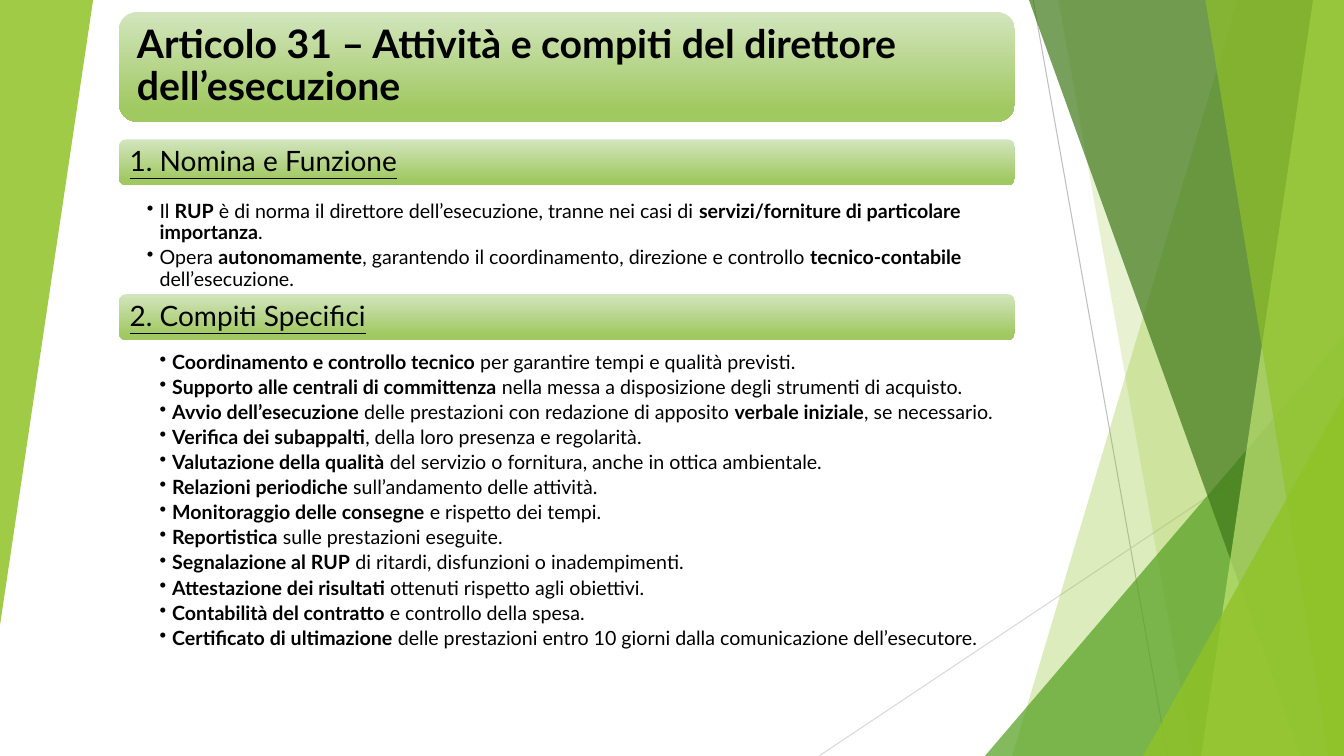
from lxml import etree
from pptx import Presentation
from pptx.dml.color import RGBColor
from pptx.enum.shapes import MSO_CONNECTOR, MSO_SHAPE
from pptx.enum.text import MSO_ANCHOR, PP_ALIGN
from pptx.oxml.ns import qn
from pptx.util import Pt

LINE = MSO_CONNECTOR.STRAIGHT
TRIANGLE = MSO_SHAPE.ISOSCELES_TRIANGLE
ROUND = MSO_SHAPE.ROUNDED_RECTANGLE
TOP, MIDDLE = MSO_ANCHOR.TOP, MSO_ANCHOR.MIDDLE
LEFT = PP_ALIGN.LEFT

WIDE, HIGH = 960, 540
FONT = "Lato"
COLORS = {
    "text": "000000", "lime": "90C226", "green": "54A021",
    "dark": "3F7819", "pale": "C0E474", "gray": "BFBFBF",
    "mist": "D9D9D9", "light": "D3E5BE", "deep": "A0C962",
}
BAR_X, BAR_W = 85, 640

ROLE = [
    "Il *RUP* è di norma il direttore dell’esecuzione, tranne nei casi di "
    "*servizi/forniture di particolare importanza*.",
    "Opera *autonomamente*, garantendo il coordinamento, direzione e "
    "controllo *tecnico-contabile* dell’esecuzione.",
]
TASKS = [
    "*Coordinamento e controllo tecnico* per garantire tempi e qualità previsti.",
    "*Supporto alle centrali di committenza* nella messa a disposizione degli strumenti di acquisto.",
    "*Avvio dell’esecuzione* delle prestazioni con redazione di apposito *verbale iniziale*, se necessario.",
    "*Verifica dei subappalti*, della loro presenza e regolarità.",
    "*Valutazione della qualità* del servizio o fornitura, anche in ottica ambientale.",
    "*Relazioni periodiche* sull’andamento delle attività.",
    "*Monitoraggio delle consegne* e rispetto dei tempi.",
    "*Reportistica* sulle prestazioni eseguite.",
    "*Segnalazione al RUP* di ritardi, disfunzioni o inadempimenti.",
    "*Attestazione dei risultati* ottenuti rispetto agli obiettivi.",
    "*Contabilità del contratto* e controllo della spesa.",
    "*Certificato di ultimazione* delle prestazioni entro 10 giorni dalla comunicazione dell’esecutore.",
]


class Page:
    def __init__(self, slide):
        self.shapes = slide.shapes

    def color(self, name):
        return RGBColor.from_string(COLORS[name])

    def line(self, x1, y1, x2, y2, color):
        line = self.shapes.add_connector(LINE, Pt(x1), Pt(y1), Pt(x2), Pt(y2))
        line.line.color.rgb = self.color(color)
        line.line.width = Pt(0.75)
        etree.SubElement(line._element.spPr, qn("a:effectLst"))

    def tint(self, shape, color, alpha):
        """Fill with a see-through colour; alpha is the opacity in percent."""
        shape.shadow.inherit = False
        shape.line.fill.background()
        shape.fill.solid()
        shape.fill.fore_color.rgb = self.color(color)
        rgb = shape._element.spPr.find(".//" + qn("a:srgbClr"))
        etree.SubElement(rgb, qn("a:alpha"), val=str(alpha * 1000))

    def band(self, top, foot, color, alpha):
        """Fill from a slanted left edge to the right edge of the slide."""
        form = self.shapes.build_freeform(Pt(top), 0)
        corners = [(WIDE, 0), (WIDE, HIGH), (foot, HIGH)]
        form.add_line_segments([(Pt(x), Pt(y)) for x, y in corners])
        self.tint(form.convert_to_shape(), color, alpha)

    def wedge(self, x, y, w, h, color, alpha, turn=0):
        shape = self.shapes.add_shape(TRIANGLE, Pt(x), Pt(y), Pt(w), Pt(h))
        shape.adjustments[0] = 1
        shape.rotation = turn
        self.tint(shape, color, alpha)

    def frame(self, shape, anchor, left, top, right):
        frame = shape.text_frame
        frame.word_wrap = True
        frame.vertical_anchor = anchor
        frame.margin_left, frame.margin_right = Pt(left), Pt(right)
        frame.margin_top = frame.margin_bottom = Pt(top)
        return frame

    def run(self, para, text, size, bold=False, under=False):
        run = para.add_run()
        run.text = text
        font = run.font
        font.name, font.size = FONT, Pt(size)
        font.bold, font.underline = bold, under
        font.color.rgb = self.color("text")

    def bar(self, y, h, text, size, inset, bold=False, under=False):
        shape = self.shapes.add_shape(ROUND, Pt(BAR_X), Pt(y), Pt(BAR_W), Pt(h))
        shape.shadow.inherit = False
        shape.line.fill.background()
        shape.fill.gradient()
        shape.fill.gradient_angle = 270
        stops = [("light", 0), ("deep", 0.88)]
        for stop, (name, spot) in zip(shape.fill.gradient_stops, stops):
            stop.color.rgb = self.color(name)
            stop.position = spot
        para = self.frame(shape, MIDDLE, inset, 0, inset).paragraphs[0]
        para.alignment = LEFT
        para.line_spacing = 0.9
        self.run(para, text, size, bold, under)

    def bullets(self, y, h, items, level):
        """Add a list; text between asterisks is bold."""
        box = self.shapes.add_textbox(Pt(BAR_X), Pt(y), Pt(BAR_W), Pt(h))
        frame = self.frame(box, TOP, 20, 1.5, 8)
        for i, item in enumerate(items):
            para = frame.add_paragraph() if i else frame.paragraphs[0]
            props = para._p.get_or_add_pPr()
            props.set("marL", str(Pt(9 * level)))
            props.set("indent", str(-Pt(9)))
            etree.SubElement(props, qn("a:buChar"), char="•")
            para.level = level
            para.line_spacing = 0.9
            para.space_after = Pt(2.8)
            for j, part in enumerate(item.split("*")):
                if part:
                    self.run(para, part, 14, bold=j % 2 == 1)


def main():
    deck = Presentation()
    deck.slide_width, deck.slide_height = Pt(WIDE), Pt(HIGH)
    page = Page(deck.slides.add_slide(deck.slide_layouts[6]))

    page.line(738, 0, 834, HIGH, "gray")
    page.line(WIDE, 290, 585, HIGH, "mist")
    page.band(884, 723, "lime", 30)
    page.band(756, 852, "lime", 20)
    page.wedge(703.5, 240, 256.5, 300, "green", 72)
    page.band(735, 929.5, "dark", 70)
    page.band(938, 858, "pale", 70)
    page.band(861, 949, "lime", 65)
    page.wedge(816.5, 283, 143.5, 257, "lime", 80)
    page.wedge(0, 0, 66.5, 446.5, "lime", 85, turn=180)

    page.bar(8.5, 78.5, "Articolo 31 – Attività e compiti del direttore dell’esecuzione",
             28, 9, bold=True)
    page.bar(99.5, 33, "1. Nomina e Funzione", 20, 6, under=True)
    page.bullets(142.5, 80.5, ROLE, 1)
    page.bar(210, 33, "2. Compiti Specifici", 20, 6, under=True)
    page.bullets(250, 259, TASKS, 2)
    deck.save("out.pptx")


if __name__ == "__main__":
    main()
